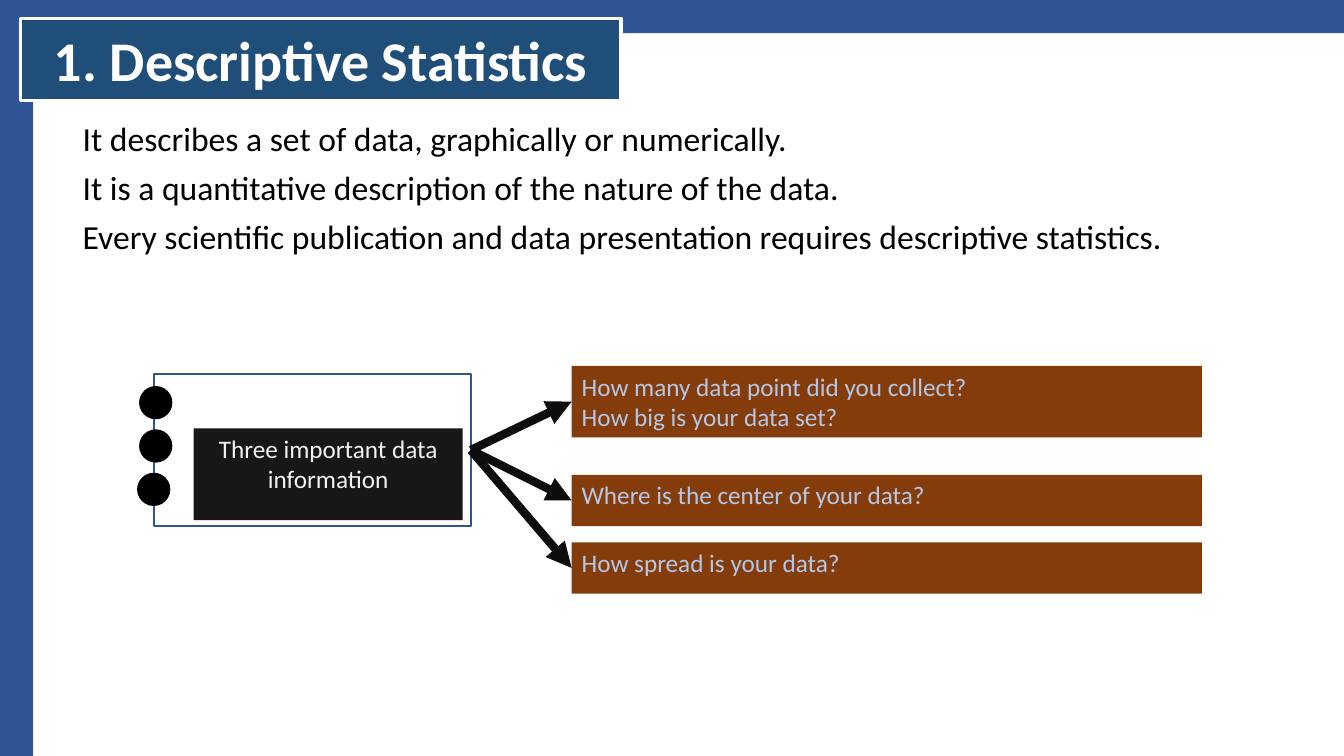
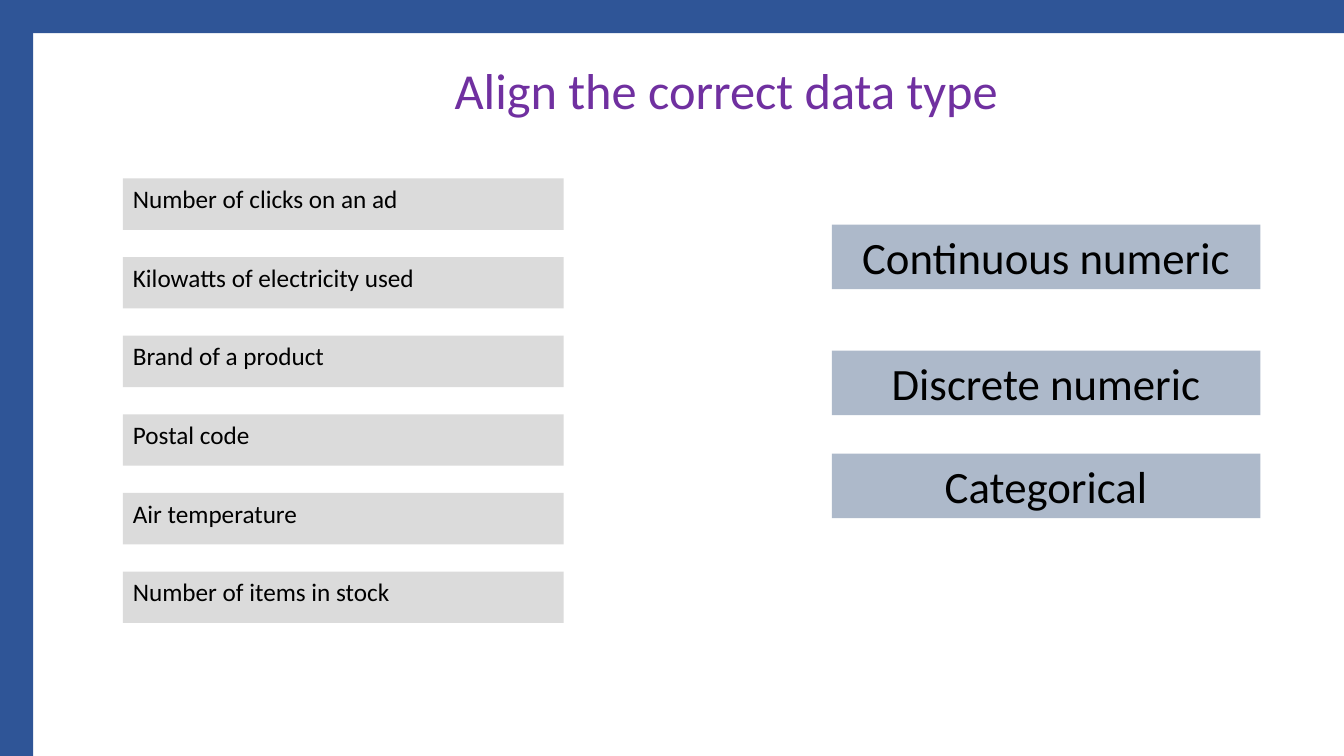
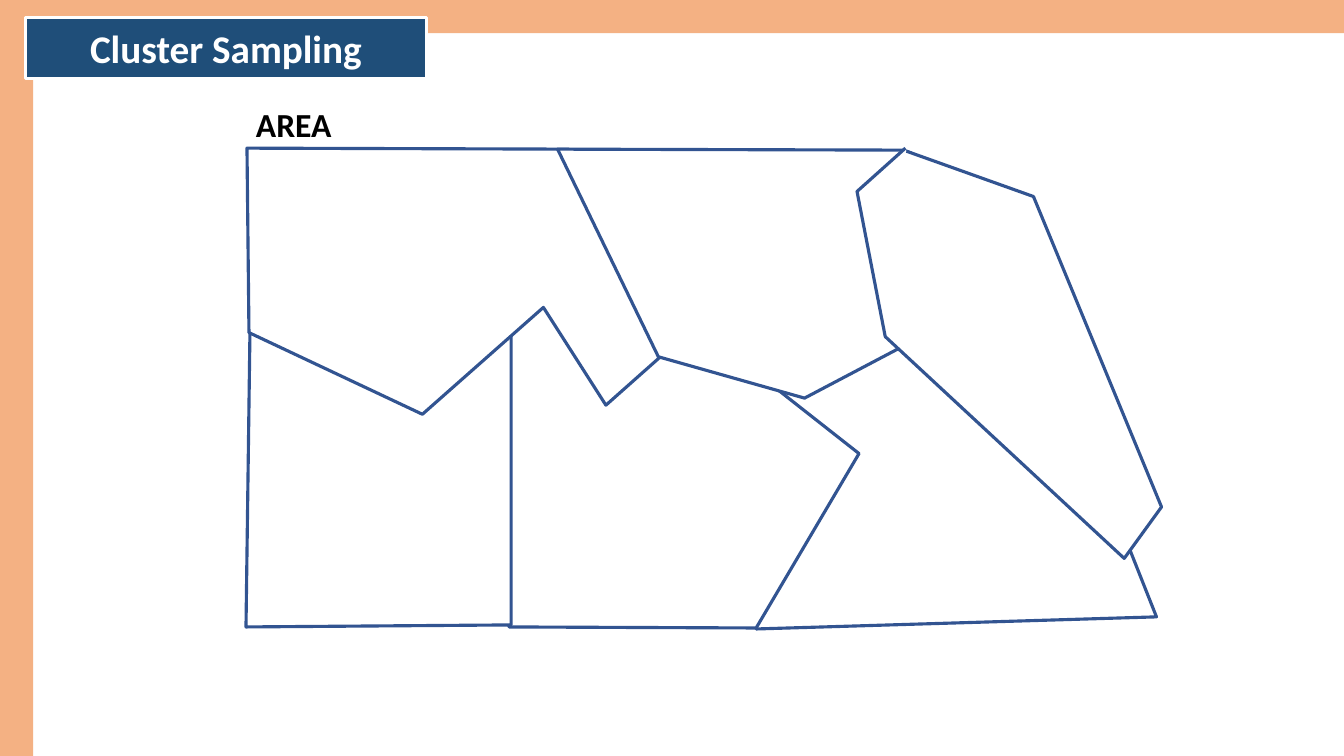
import pptx
import pptx.util
import pptx.dml.color
import pptx.enum.shapes
import pptx.enum.text
import pptx.oxml.ns
import lxml.etree

Inches = pptx.util.Inches
Pt = pptx.util.Pt
SHAPE = pptx.enum.shapes.MSO_SHAPE
ALIGN = pptx.enum.text.PP_ALIGN
qn = pptx.oxml.ns.qn

BLACK, WHITE = "000000", "FFFFFF"
BLUE, PEACH, NAVY = "2F5597", "F4B183", "1F4E79"
EDGE, INK, PURPLE = "325491", "0D0D0D", "7030A0"
BROWN, PALE, GRAY, STEEL = "843C0B", "B4C7E7", "DBDBDB", "ADB9CA"
WIDE, NARROW = (0.13, 0.07), (0.1, 0.05)


def color(code):
    return pptx.dml.color.RGBColor.from_string(code)


class Deck:
    """Holds the style and the current slide."""

    font = "Calibri"
    width, height, band = 13.33, 7.5, 0.33

    def __init__(self):
        self.file = pptx.Presentation()
        self.file.slide_width = Inches(self.width)
        self.file.slide_height = Inches(self.height)

    def start(self, tint):
        """New slide with a band along the top and the left side."""
        self.slide = self.file.slides.add_slide(self.file.slide_layouts[5])
        self.shapes = self.slide.shapes
        self.box((self.band, 0, self.width - self.band, self.band), tint)
        self.box((0, 0, self.band, self.height), tint)

    def paint(self, shape, fill, line=None, weight=1):
        shape.fill.solid()
        shape.fill.fore_color.rgb = color(fill)
        if line:
            shape.line.color.rgb = color(line)
            shape.line.width = Pt(weight)
        else:
            shape.line.fill.background()

    def words(self, shape, lines, size, tint, align=ALIGN.LEFT, bold=False,
              inset=NARROW, after=0, wrap=True):
        frame = shape.text_frame
        frame.word_wrap = wrap
        frame.auto_size = pptx.enum.text.MSO_AUTO_SIZE.NONE
        frame.vertical_anchor = pptx.enum.text.MSO_ANCHOR.TOP
        frame.margin_left = frame.margin_right = Inches(inset[0])
        frame.margin_top = frame.margin_bottom = Inches(inset[1])
        for i, line in enumerate(lines):
            para = frame.add_paragraph() if i else frame.paragraphs[0]
            para.alignment = align
            para.space_after = Pt(after)
            run = para.add_run()
            run.text = line
            run.font.name = self.font
            run.font.size = Pt(size)
            run.font.bold = bold
            run.font.color.rgb = color(tint)

    def title(self, text, place, size, tint, bold=False, inset=NARROW):
        """Title placeholder, brought in front of the bands."""
        title = self.shapes.title
        title.left, title.top, title.width, title.height = map(Inches, place)
        self.words(title, [text], size, tint, ALIGN.CENTER, bold, inset)
        self.shapes._spTree.append(title._element)
        return title

    def plate(self, text, place, size):
        """Title on a navy plate with a white edge."""
        title = self.title(text, place, size, WHITE, True, WIDE)
        self.paint(title, NAVY, WHITE, 2.25)

    def box(self, place, fill, line=None, weight=1, kind=SHAPE.RECTANGLE):
        shape = self.shapes.add_shape(kind, *map(Inches, place))
        shape.shadow.inherit = False
        self.paint(shape, fill, line, weight)
        return shape

    def label(self, lines, place, fill, size, tint, align=ALIGN.LEFT):
        shape = self.box(place, fill)
        self.words(shape, lines, size, tint, align)
        return shape

    def text(self, lines, place, size, **style):
        shape = self.shapes.add_textbox(*map(Inches, place))
        self.words(shape, lines, size, BLACK, **style)

    def arrow(self, source, target):
        """Arrow from the right side of one box to the left of another."""
        line = self.shapes.add_connector(
            pptx.enum.shapes.MSO_CONNECTOR.STRAIGHT, 0, 0, 0, 0)
        line.begin_connect(source, 3)
        line.end_connect(target, 1)
        line.line.color.rgb = color(INK)
        line.line.width = Pt(6)
        head = lxml.etree.SubElement(line.line._get_or_add_ln(),
                                     qn("a:tailEnd"))
        head.set("type", "triangle")
        lxml.etree.SubElement(line._element.spPr, qn("a:effectLst"))

    def region(self, group, points, close):
        first, *rest = [tuple(map(Inches, point)) for point in points]
        outline = group.shapes.build_freeform(*first)
        outline.add_line_segments(rest, close=close)
        shape = outline.convert_to_shape()
        shape.shadow.inherit = False
        self.paint(shape, WHITE, EDGE, 2.25)


def describe(deck):
    deck.start(BLUE)
    deck.plate("1. Descriptive Statistics", (0.2, 0.18, 5.96, 0.82), 40)
    deck.text(["It describes a set of data, graphically or numerically.",
               "It is a quantitative description of the nature of the data.",
               "Every scientific publication and data presentation requires "
               "descriptive statistics."],
              (0.69, 1.1, 11.44, 1.51), 24, inset=WIDE, after=6)

    # Framed topic
    frame = deck.box((1.53, 3.71, 3.14, 1.51), WHITE, EDGE, 1.5)
    deck.label(["Three important data information"], (1.92, 4.25, 2.67, 0.91),
               "181717", 18, "F2F2F2", ALIGN.CENTER)

    # Questions, each with its arrow
    for top, high, lines in [
            (3.63, 0.71, ["How many data point did you collect?",
                          "How big is your data set?"]),
            (4.71, 0.51, ["Where is the center of your data?"]),
            (5.38, 0.51, ["How spread is your data?"])]:
        ask = deck.label(lines, (5.67, top, 6.25, high), BROWN, 18, PALE)
        deck.arrow(frame, ask)

    # Dots on the frame
    for i, left in enumerate([1.38, 1.38, 1.36]):
        deck.box((left, 3.83 + 0.43 * i, 0.33, 0.33), BLACK,
                 kind=SHAPE.OVAL)


def match(deck):
    deck.start(BLUE)
    deck.title("Align the correct data type", (4.04, 0.54, 6.33, 0.71),
               36, PURPLE)

    # Examples
    items = ["Number of clicks on an ad", "Kilowatts of electricity used",
             "Brand of a product", "Postal code", "Air temperature",
             "Number of items in stock"]
    for i, item in enumerate(items):
        deck.label([item], (1.22, 1.77 + 0.78 * i, 4.37, 0.51),
                   GRAY, 18, BLACK)

    # Data types
    for top, name in [(2.23, "Continuous numeric"),
                      (3.48, "Discrete numeric"), (4.5, "Categorical")]:
        deck.label([name], (8.25, top, 4.25, 0.64), STEEL, 32, BLACK,
                   ALIGN.CENTER)


def cluster(deck):
    deck.start(PEACH)
    deck.plate("Cluster Sampling", (0.25, 0.17, 3.98, 0.61), 28)

    # Map of the area, back to front
    closed = [
        [(7.5, 6.24), (11.47, 6.12), (10.84, 4.53), (8.89, 3.1),
         (7.42, 3.79)],
        [(5.05, 6.22), (7.5, 6.23), (8.52, 4.5), (5.99, 2.51), (4.68, 3.6)],
        [(2.48, 3.26), (2.44, 6.22), (5.07, 6.2), (5.07, 2.95)],
        [(5.64, 1.48), (2.45, 1.47), (2.47, 3.3), (4.19, 4.11),
         (5.39, 3.05), (6.01, 4.02), (6.81, 3.31)],
        [(8.96, 1.49), (5.53, 1.48), (6.53, 3.54), (7.98, 3.95),
         (8.93, 3.45), (9.04, 1.52)],
    ]
    east = [(8.99, 1.5), (10.25, 1.95), (11.52, 5.03), (11.15, 5.54),
            (8.78, 3.34), (8.5, 1.9), (8.98, 1.47)]
    group = deck.shapes.add_group_shape()
    for points in closed:
        deck.region(group, points, True)
    deck.region(group, east, False)
    deck.text(["AREA"], (2.44, 0.98, 0.96, 0.5), 24, bold=True, wrap=False)


def main():
    deck = Deck()
    describe(deck)
    match(deck)
    cluster(deck)
    deck.file.save("out.pptx")


if __name__ == "__main__":
    main()
